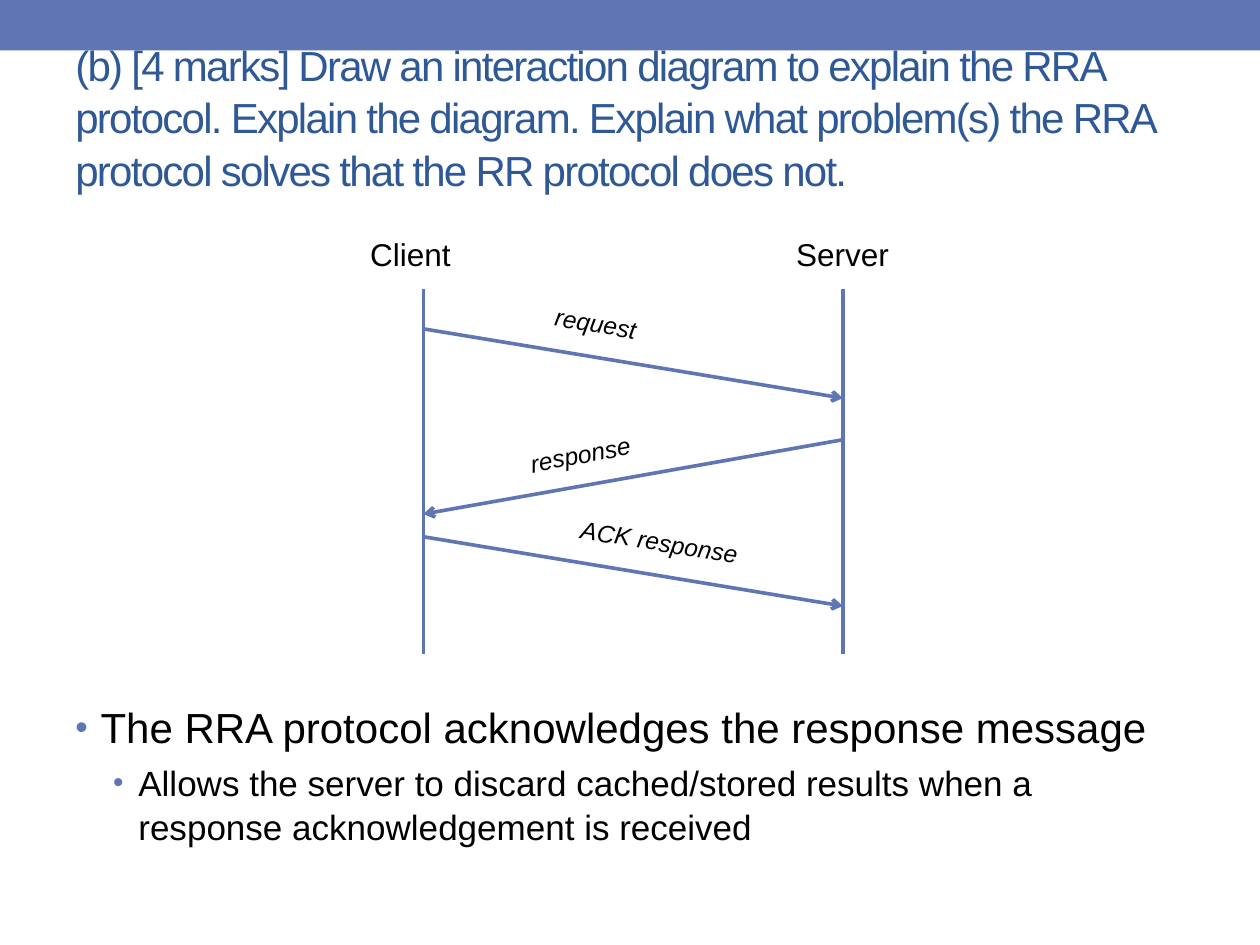
from lxml import etree
from pptx import Presentation
from pptx.dml.color import RGBColor
from pptx.enum import shapes, text
from pptx.oxml.ns import qn
from pptx.util import Inches, Pt

COLORS = {"accent": "6076B4", "title": "2F5897", "body": "000000"}
FONT = "Arial"
QUESTION = ("(b) [4 marks] Draw an interaction diagram to explain the RRA protocol. "
            "Explain the diagram. Explain what problem(s) the RRA protocol solves "
            "that the RR protocol does not.")
# level, size, text
ANSWER = [
    (0, 24, "The RRA protocol acknowledges the response message"),
    (1, 20, "Allows the server to discard cached/stored results when a "
            "response acknowledgement is received"),
]
LIFELINE_TOP, LIFELINE_BOTTOM = 2.29, 5.19
# name: lifeline x, label left, label width
LIFELINES = {"Client": (3.36, 2.84, 0.94), "Server": (6.69, 6.22, 1.05)}
# label, sender, receiver, y sent, y received, label left, top, width, rotation
MESSAGES = [
    ("request", "Client", "Server", 2.61, 3.16, 4.3, 2.41, 1.01, 9.6),
    ("response", "Server", "Client", 3.49, 4.08, 4.11, 3.42, 1.18, -10.7),
    ("ACK response", "Client", "Server", 4.26, 4.81, 4.5, 4.15, 1.69, 9.2),
]


def rgb(key):
    return RGBColor.from_string(COLORS[key])


def add_box(parent, left, top, width, height):
    box = parent.add_textbox(*map(Inches, (left, top, width, height)))
    box.text_frame.word_wrap = True
    return box


def add_run(paragraph, words, size, color="body", italic=None):
    run = paragraph.add_run()
    run.text = words
    run.font.name, run.font.size, run.font.italic = FONT, Pt(size), italic
    run.font.color.rgb = rgb(color)
    return run


def add_line(parent, x1, y1, x2, y2, arrow=False):
    line = parent.add_connector(shapes.MSO_CONNECTOR.STRAIGHT,
                                *map(Inches, (x1, y1, x2, y2)))
    line.line.color.rgb = rgb("accent")
    line.line.width = Pt(2.08)
    if arrow:
        etree.SubElement(line.line._get_or_add_ln(), qn("a:tailEnd"), type="arrow")
    etree.SubElement(line._element.spPr, qn("a:effectLst"))


def add_bullet(paragraph, level):
    paragraph.level = level
    props = paragraph._p.get_or_add_pPr()
    props.set("marL", str(Inches(0.2 + 0.3 * level)))
    props.set("indent", str(Inches(-0.2)))
    color = etree.SubElement(props, qn("a:buClr"))
    etree.SubElement(color, qn("a:srgbClr"), val=COLORS["accent"])
    etree.SubElement(props, qn("a:buSzPct"), val="85000")
    etree.SubElement(props, qn("a:buFont"), typeface=FONT)
    etree.SubElement(props, qn("a:buChar"), char="•")


def add_question(slide):
    frame = add_box(slide.shapes, 0.5, 0.58, 9, 1.08).text_frame
    frame.vertical_anchor = text.MSO_ANCHOR.MIDDLE
    frame.margin_bottom = Inches(0.45)
    paragraph = frame.paragraphs[0]
    paragraph.line_spacing = 1.05
    run = add_run(paragraph, QUESTION, 24, "title")
    run.font._element.set("spc", "-100")


def add_answer(slide):
    frame = add_box(slide.shapes, 0.5, 5.5, 9, 1.58).text_frame
    for i, (level, size, words) in enumerate(ANSWER):
        paragraph = frame.add_paragraph() if i else frame.paragraphs[0]
        paragraph.line_spacing = 1.05
        paragraph.space_before = Pt(size * 0.2)
        add_bullet(paragraph, level)
        add_run(paragraph, words, size)


def add_diagram(slide):
    diagram = slide.shapes.add_group_shape().shapes
    for name, (x, left, width) in LIFELINES.items():
        add_line(diagram, x, LIFELINE_TOP, x, LIFELINE_BOTTOM)
        label = add_box(diagram, left, 1.82, width, 0.47)
        add_run(label.text_frame.paragraphs[0], name, 18)
    for words, sender, receiver, sent, received, left, top, width, angle in MESSAGES:
        add_line(diagram, LIFELINES[sender][0], sent,
                 LIFELINES[receiver][0], received, arrow=True)
        label = add_box(diagram, left, top, width, 0.39)
        label.rotation = angle
        add_run(label.text_frame.paragraphs[0], words, 14, italic=True)


def main():
    deck = Presentation()
    deck.slide_width, deck.slide_height = Inches(10), Inches(7.5)
    slide = deck.slides.add_slide(deck.slide_layouts[6])
    banner = slide.shapes.add_shape(shapes.MSO_SHAPE.RECTANGLE, 0, 0,
                                    Inches(10), Inches(0.4))
    banner.shadow.inherit = False
    banner.fill.solid()
    banner.fill.fore_color.rgb = rgb("accent")
    banner.line.fill.background()
    add_question(slide)
    add_answer(slide)
    add_diagram(slide)
    deck.save("out.pptx")


if __name__ == "__main__":
    main()
